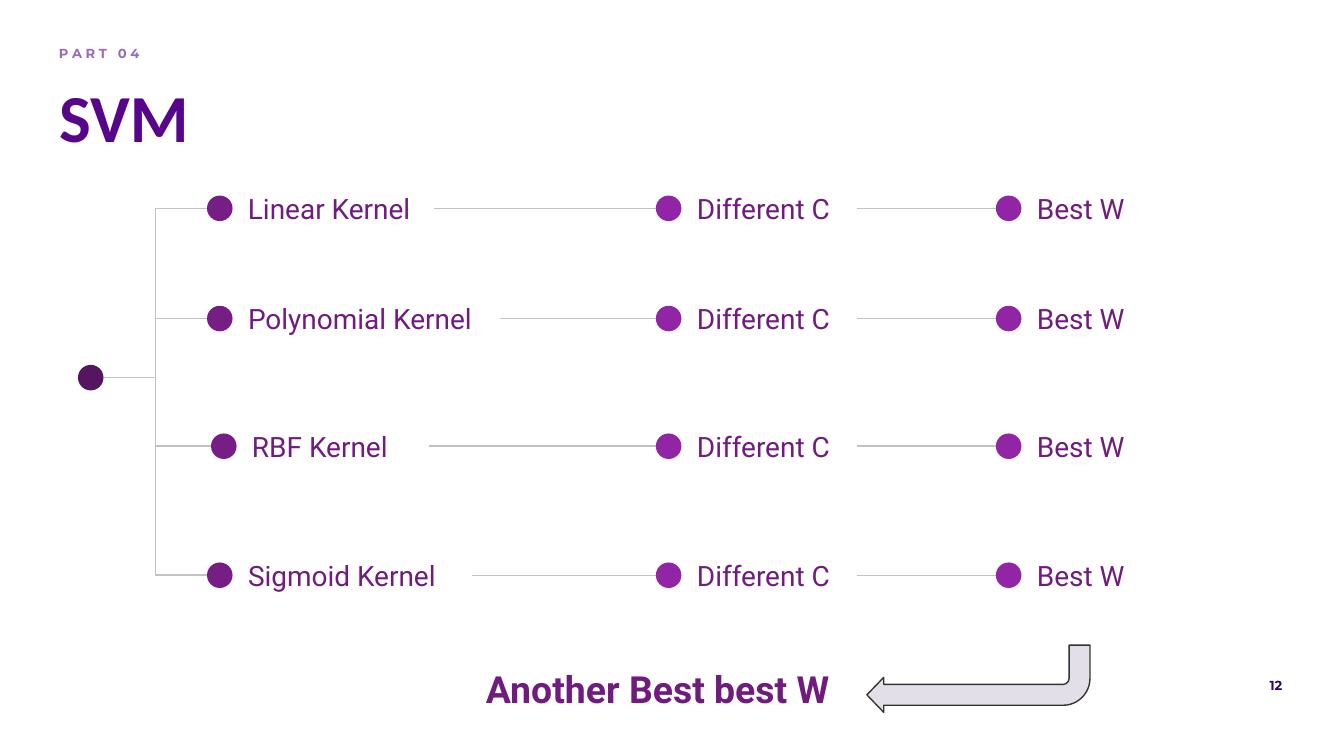
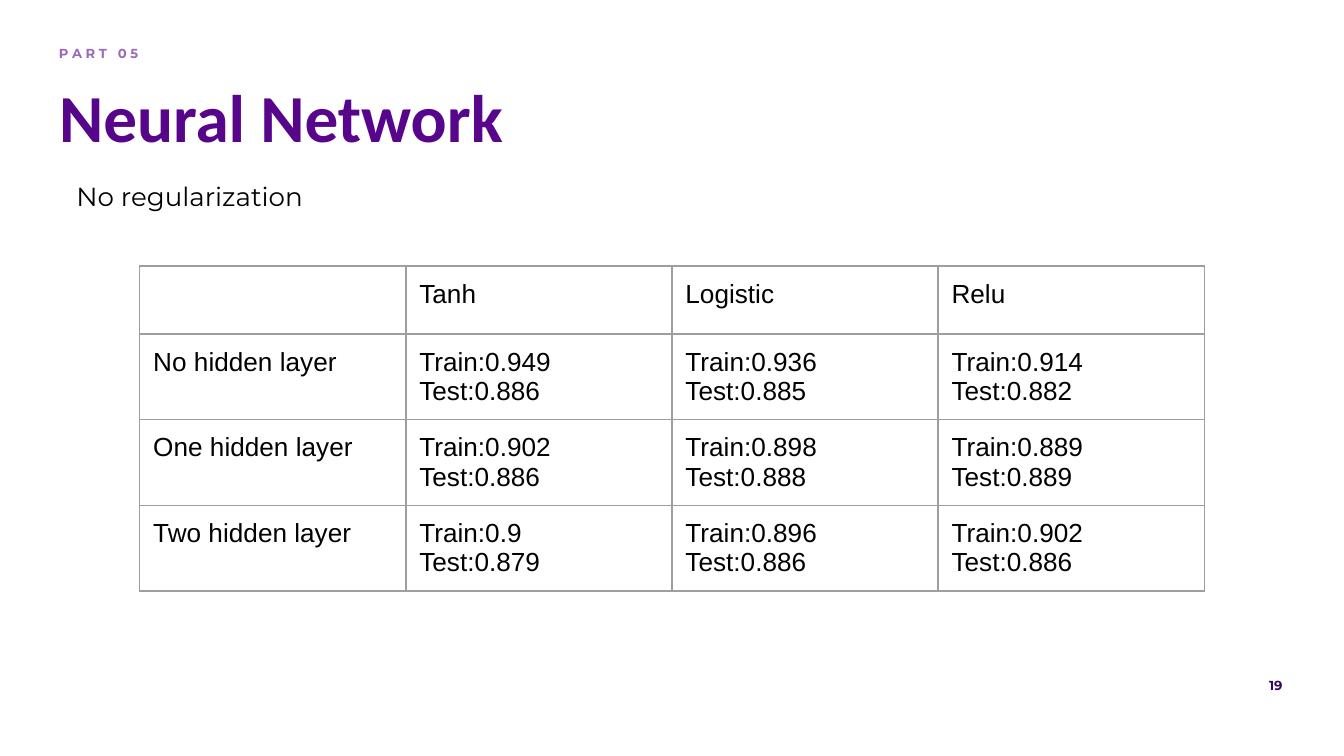
from lxml import etree
from pptx import Presentation
from pptx import util as u
from pptx.dml.color import RGBColor
from pptx.enum import shapes, text
from pptx.oxml.ns import qn

COLORS = {
    "title": "57068C", "part": "9A6ABA", "number": "330662", "black": "000000",
    "label": "701C7F", "root": "551561", "kernel": "761E86", "step": "9225A5",
    "link": "C2C2C2", "arrow": "E3DFE9", "outline": "333333", "border": "9E9E9E",
}
COLUMNS = 100
INSET = 1
DOT = 1.9
LABEL_HEIGHT = 3.5
THIN = u.Pt(0.75)


class Slides:
    def __init__(self):
        self.deck = Presentation()
        self.deck.slide_width = u.Inches(10)
        self.deck.slide_height = u.Inches(5.625)
        self.module = self.deck.slide_width / COLUMNS
        self.page = None

    def size(self, modules):
        return round(modules * self.module)

    def frame(self, *modules):
        return [self.size(value) for value in modules]

    def color(self, name):
        return RGBColor.from_string(COLORS[name])

    def start(self, title, part, number):
        self.page = self.deck.slides.add_slide(self.deck.slide_layouts[5])
        box = self.page.shapes.title
        box.left, box.top, box.width, box.height = self.frame(3.4, 4.6, 92.1, 6.3)
        self.letter(box, title, 36, "Calibri", "title", bold=True)
        self.text(" ".join(part), (3.4, 2.4, 26.6, 3.4), 7, "part", bold=True)
        self.text(str(number), (50.5, 49.4, 45.9, 3.4), 7, "number", bold=True,
                  align=text.PP_ALIGN.RIGHT)

    def letter(self, box, words, size, font, color, bold=False,
               align=text.PP_ALIGN.LEFT, anchor=text.MSO_ANCHOR.TOP):
        body = box.text_frame
        body.word_wrap = True
        body.auto_size = text.MSO_AUTO_SIZE.NONE
        body.vertical_anchor = anchor
        self.inset(body)
        self.span(body.paragraphs[0], words, size, font, color, bold, align)

    def inset(self, holder):
        for side in ("left", "top", "right", "bottom"):
            setattr(holder, f"margin_{side}", self.size(INSET))

    def span(self, para, words, size, font, color, bold=False,
             align=text.PP_ALIGN.LEFT):
        para.alignment = align
        span = para.add_run()
        span.text = words
        span.font.size = u.Pt(size)
        span.font.name = font
        span.font.bold = bold
        span.font.color.rgb = self.color(color)

    def text(self, words, place, size, color, **style):
        box = self.page.shapes.add_textbox(*self.frame(*place))
        self.letter(box, words, size, "Montserrat", color, **style)

    def shape(self, kind, place, fill=None, line=None, parent=None):
        shape = (parent or self.page).shapes.add_shape(kind, *self.frame(*place))
        shape.shadow.inherit = False
        if fill:
            shape.fill.solid()
            shape.fill.fore_color.rgb = self.color(fill)
        else:
            shape.fill.background()
        if line:
            shape.line.color.rgb = self.color(line)
            shape.line.width = THIN
        else:
            shape.line.fill.background()
        return shape

    def label(self, words, left, middle, width, size=15, bold=False, parent=None):
        place = (left, middle - LABEL_HEIGHT / 2, width, LABEL_HEIGHT)
        box = self.shape(shapes.MSO_SHAPE.ROUNDED_RECTANGLE, place, parent=parent)
        self.letter(box, words, size, "Roboto", "label", bold,
                    anchor=text.MSO_ANCHOR.MIDDLE)

    def dot(self, left, middle, color, parent=None):
        place = (left, middle - DOT / 2, DOT, DOT)
        self.shape(shapes.MSO_SHAPE.OVAL, place, color, parent=parent)

    def node(self, words, left, middle, width, color):
        group = self.page.shapes.add_group_shape()
        self.label(words, left + DOT, middle, width, parent=group)
        self.dot(left, middle, color, parent=group)
        return left + DOT + width

    def link(self, start, end, kind=shapes.MSO_CONNECTOR.STRAIGHT):
        line = self.page.shapes.add_connector(kind, *self.frame(*start, *end))
        line.line.color.rgb = self.color("link")
        line.line.width = THIN
        etree.SubElement(line._element.spPr, qn("a:effectLst"))

    def table(self, rows, left, top, column_width, row_height):
        count = len(rows[0])
        place = (left, top, column_width * count, row_height * len(rows))
        table = self.page.shapes.add_table(len(rows), count, *self.frame(*place)).table
        table.first_row = table.horz_banding = False
        for row, values in enumerate(rows):
            for column, lines in enumerate(values):
                self.cell(table.cell(row, column), lines)

    def cell(self, cell, lines):
        self.inset(cell)
        body = cell.text_frame
        for index, words in enumerate(lines):
            para = body.add_paragraph() if index else body.paragraphs[0]
            self.span(para, words, 14, "Arial", "black")
        properties = cell._tc.get_or_add_tcPr()
        for side in "LRTB":
            edge = etree.SubElement(properties, qn(f"a:ln{side}"), w=str(int(THIN)))
            fill = etree.SubElement(edge, qn("a:solidFill"))
            etree.SubElement(fill, qn("a:srgbClr"), val=COLORS["border"])
        cell.fill.background()


def kernel_page(slides):
    slides.start("SVM", "PART 04", 12)
    root_left, root_middle = 5.8, 28.1
    kernel_left, step_left, best_left = 15.4, 48.8, 74.1
    root_right = root_left + DOT
    trunk = (root_right + kernel_left) / 2
    kernels = [
        ("Linear Kernel", 15.5, 15, 0),
        ("Polynomial Kernel", 23.7, 19.9, 0),
        ("RBF Kernel", 33.2, 14.3, 0.3),
        ("Sigmoid Kernel", 42.8, 17.8, 0),
    ]
    for name, middle, width, shift in kernels:
        left = kernel_left + shift
        if shift:
            slides.link((trunk, middle), (left, middle))
        else:
            slides.link((root_right, root_middle), (left, middle),
                        shapes.MSO_CONNECTOR.ELBOW)
        right = slides.node(name, left, middle, width, "kernel")
        for words, next_left in (("Different C", step_left), ("Best W", best_left)):
            slides.link((right, middle), (next_left, middle))
            right = slides.node(words, next_left, middle, 13.1, "step")
    slides.dot(root_left, root_middle, "root")
    slides.label("Another Best best W", 35, 51.25, 28.9, size=20, bold=True)
    arrow = slides.shape(shapes.MSO_SHAPE.BENT_ARROW, (64.5, 48, 16.6, 5),
                         "arrow", "outline")
    arrow.rotation = 180
    for index, value in enumerate((0.31, 0.26, 0.25, 0.4)):
        arrow.adjustments[index] = value


def network_page(slides):
    slides.start("Neural Network", "PART 05", 19)
    slides.text("No regularization", (4.7, 12.4, 32.6, 4.4), 14, "black")
    scores = {
        "No hidden layer": [("0.949", "0.886"), ("0.936", "0.885"), ("0.914", "0.882")],
        "One hidden layer": [("0.902", "0.886"), ("0.898", "0.888"), ("0.889", "0.889")],
        "Two hidden layer": [("0.9", "0.879"), ("0.896", "0.886"), ("0.902", "0.886")],
    }
    rows = [[[], ["Tanh"], ["Logistic"], ["Relu"]]]
    for layer, pairs in scores.items():
        rows.append([[layer]] + [[f"Train:{train}", f"Test:{test}"]
                                 for train, test in pairs])
    slides.table(rows, 10.4, 19.8, 19.8, 4.2)


def main():
    slides = Slides()
    kernel_page(slides)
    network_page(slides)
    slides.deck.save("out.pptx")


if __name__ == "__main__":
    main()
